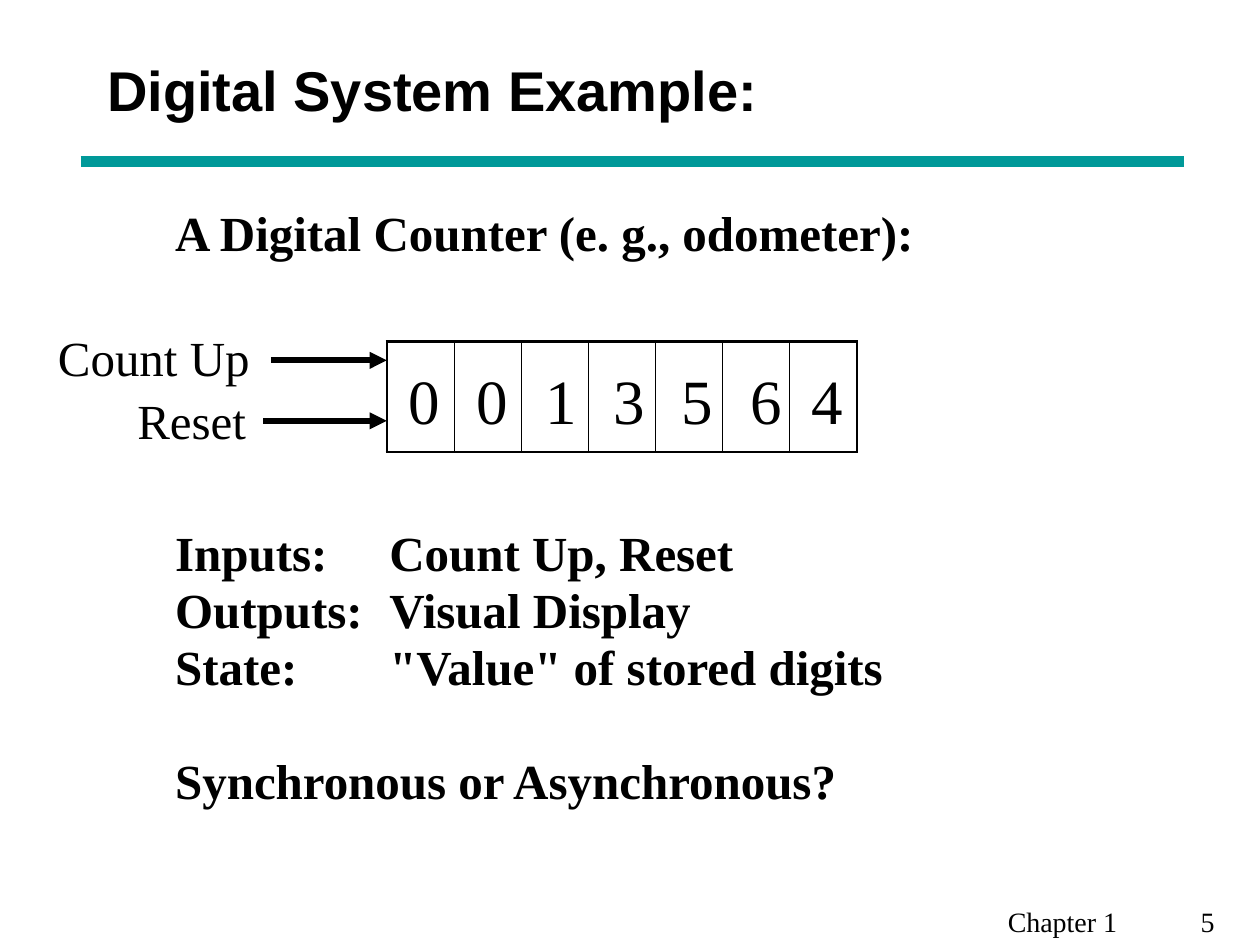
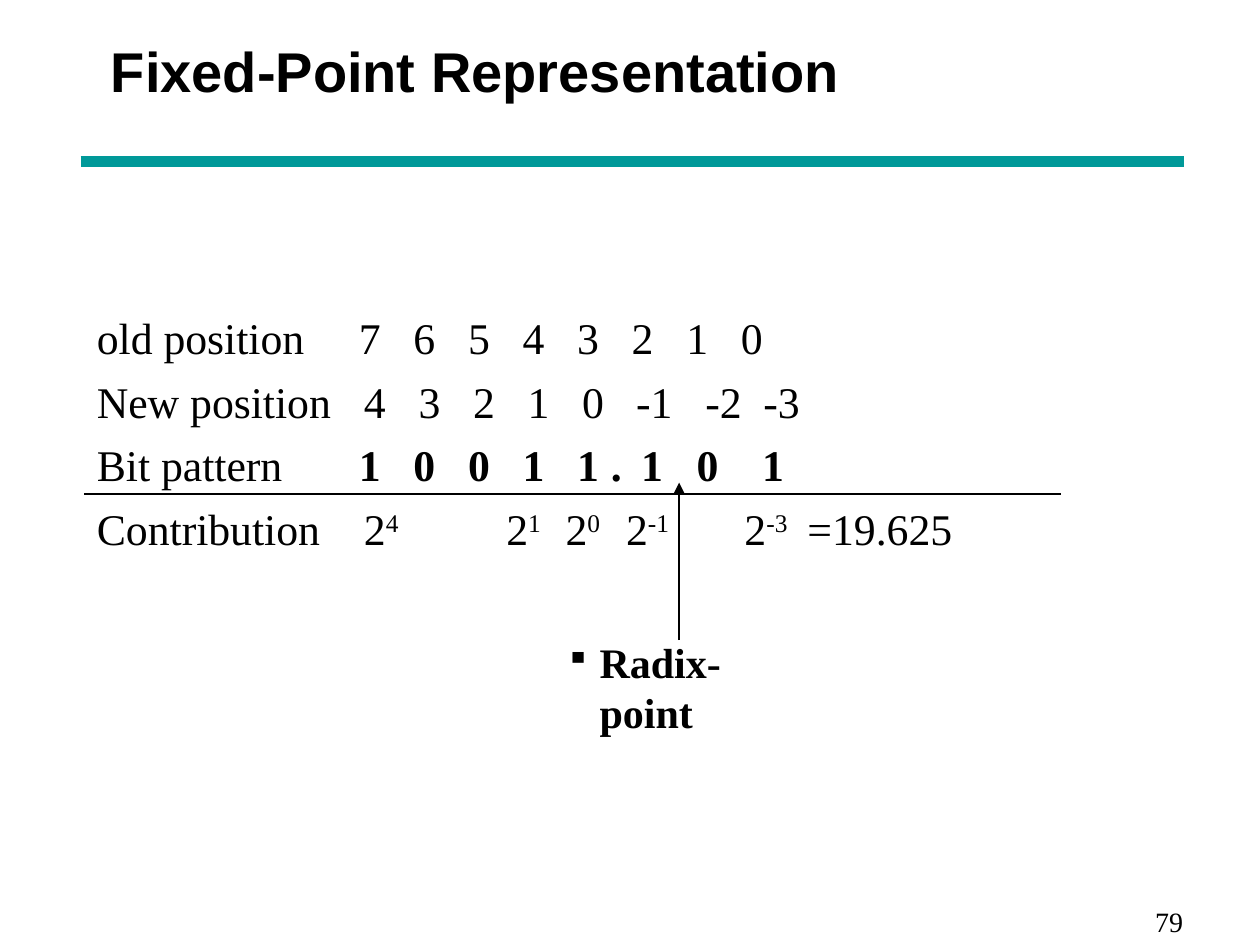
from dataclasses import dataclass

from lxml import etree
from pptx import Presentation
from pptx import util as u
from pptx.dml.color import RGBColor
from pptx.enum import shapes, text
from pptx.oxml.ns import qn

BLACK, TEAL = "000000", "009999"
SERIF, SANS = "Times New Roman", "Arial"


@dataclass
class Label:
    left: float
    top: float
    width: float
    words: str
    bold: bool = True
    size: float = 28


@dataclass
class BitRow:
    """A label and its cells; stops are the cells' tab positions in inches."""
    label: str
    cells: list[str]
    stops: list[float]
    bold: bool = False


BIT_STEP = 0.433


def even_stops(start: float, count: int) -> list[float]:
    return [start + BIT_STEP * i for i in range(count)]


COUNTER_LABELS = [
    Label(1.39, 1.61, 6.1, "A Digital Counter (e. g., odometer):"),
    Label(0.46, 2.6, 1.65, "Count Up", bold=False),
    Label(1.09, 3.1, 0.97, "Reset", bold=False),
    Label(1.39, 5.96, 5.5, "Synchronous or Asynchronous?"),
]
COUNTER_FACTS = [
    ("Inputs:", "Count Up, Reset"),
    ("Outputs:", "Visual Display"),
    ("State:", '"Value" of stored digits'),
]
DIGITS = "0013564"
DIGIT_LEFTS = [3.24 + 0.543 * i for i in range(6)] + [6.44]

BIT_ROWS = [
    BitRow("old position", list("76543210"), even_stops(2.08, 8)),
    BitRow("New position", ["4", "3", "2", "1", "0", "-1", "-2", "-3"],
           even_stops(2.12, 5) + [4.28, 4.83, 5.29]),
    BitRow("Bit pattern", list("10011.101"),
           even_stops(2.08, 5) + [4.08, 4.32, 4.76, 5.28], bold=True),
    BitRow("Contribution", ["2^4", "2^1", "2^0", "2^-1", "2^-3", "=19.625"],
           [2.12, 3.25, 3.72, 4.2, 5.14, 5.64]),
]


def color(value: str) -> RGBColor:
    return RGBColor.from_string(value)


def style(paragraph, size: float, face: str = SERIF, bold: bool | None = None) -> None:
    font = paragraph.font
    font.name, font.size, font.bold = face, u.Pt(size), bold
    font.color.rgb = color(BLACK)


def add_tabs(paragraph, stops: list[float]) -> None:
    tabs = etree.SubElement(paragraph._p.get_or_add_pPr(), qn("a:tabLst"))
    for stop in stops:
        etree.SubElement(tabs, qn("a:tab"), pos=str(u.Inches(stop)), algn="l")


def add_box(page, left: float, top: float, width: float, height: float,
            inset: bool = True):
    box = page.shapes.add_textbox(*map(u.Inches, (left, top, width, height)))
    frame = box.text_frame
    frame.word_wrap = True
    if not inset:
        frame.margin_left = frame.margin_right = 0
        frame.margin_top = frame.margin_bottom = 0
    return frame


def add_label(page, label: Label) -> None:
    height = label.size / 60
    frame = add_box(page, label.left, label.top, label.width, height, inset=False)
    para = frame.paragraphs[0]
    para.text = label.words
    style(para, label.size, bold=label.bold)


def add_line(page, start: tuple[float, float], end: tuple[float, float],
             weight: float, paint: str = BLACK, arrow: bool = False) -> None:
    line = page.shapes.add_connector(
        shapes.MSO_CONNECTOR.STRAIGHT, *map(u.Inches, (*start, *end)))
    line.line.width = u.Pt(weight)
    line.line.color.rgb = color(paint)
    if arrow:
        etree.SubElement(line.line._get_or_add_ln(), qn("a:tailEnd"), type="triangle")
    etree.SubElement(line._element.spPr, qn("a:effectLst"))


def add_page(deck, title: str, place: tuple[float, float, float, float],
             footer: str, number_stop: float):
    """Add a slide with its title, teal rule and footer."""
    page = deck.slides.add_slide(deck.slide_layouts[5])
    heading = page.shapes.title
    heading.left, heading.top, heading.width, heading.height = map(u.Inches, place)
    heading.text_frame.auto_size = text.MSO_AUTO_SIZE.NONE
    heading.text_frame.vertical_anchor = text.MSO_ANCHOR.MIDDLE
    para = heading.text_frame.paragraphs[0]
    para.text = title
    para.alignment = text.PP_ALIGN.LEFT
    style(para, 32, SANS, bold=True)
    add_line(page, (0.64, 1.28), (9.4, 1.28), 6, TEAL)
    para = add_box(page, 7.9, 7.13, 2.1, 0.37).paragraphs[0]
    para.text = footer
    add_tabs(para, [number_stop])
    style(para, 16)
    return page


def add_border(cell, side: str, weight: float) -> None:
    line = etree.SubElement(cell._tc.get_or_add_tcPr(), qn(f"a:{side}"), w=str(u.Pt(weight)))
    fill = etree.SubElement(line, qn("a:solidFill"))
    etree.SubElement(fill, qn("a:srgbClr"), val=BLACK)


def add_counter(page) -> None:
    count = len(DIGITS)
    table = page.shapes.add_table(
        1, count, *map(u.Inches, (3.07, 2.71, 3.73, 0.88))).table
    table.first_row = table.horz_banding = False
    outer, inner = 1.5, 0.25
    for i in range(count):
        cell = table.cell(0, i)
        add_border(cell, "lnL", outer if i == 0 else inner)
        add_border(cell, "lnR", outer if i == count - 1 else inner)
        add_border(cell, "lnT", outer)
        add_border(cell, "lnB", outer)
        cell.fill.background()
    for left, digit in zip(DIGIT_LEFTS, DIGITS):
        add_label(page, Label(left, 2.87, 0.3, digit, bold=False, size=36))


def build_counter_page(deck) -> None:
    page = add_page(deck, "Digital System Example:", (0.75, 0.25, 8.5, 0.92),
                    "Chapter 1\t5", 1.53)
    add_counter(page)
    add_line(page, (2.15, 2.86), (3.07, 2.86), 3.25, arrow=True)
    add_line(page, (2.09, 3.34), (3.07, 3.34), 3.25, arrow=True)
    for label in COUNTER_LABELS:
        add_label(page, label)
    for i, (name, meaning) in enumerate(COUNTER_FACTS):
        top = 4.15 + 0.45 * i
        add_label(page, Label(1.39, top, 1.6, name))
        add_label(page, Label(3.09, top, 4.5, meaning))


def add_bit_row(para, row: BitRow) -> None:
    add_tabs(para, row.stops)
    style(para, 25)
    para.add_run().text = row.label
    for cell in row.cells:
        base, _, power = cell.partition("^")
        span = para.add_run()
        span.text = "\t" + base
        span.font.bold = row.bold
        if power:
            span = para.add_run()
            span.text = power
            span._r.get_or_add_rPr().set("baseline", "30000")


def build_fixed_point_page(deck) -> None:
    page = add_page(deck, "Fixed-Point Representation", (0.78, 0, 8.5, 1.12),
                    "\t79", 1.17)
    frame = add_box(page, 0.67, 2.42, 9.08, 2.1)
    for i, row in enumerate(BIT_ROWS):
        para = frame.add_paragraph() if i else frame.paragraphs[0]
        add_bit_row(para, row)
        if i:
            para.space_before = u.Pt(6.3)
    add_line(page, (0.67, 3.92), (8.42, 3.92), 0.75)

    para = add_box(page, 4.39, 5, 1.54, 0.9).paragraphs[0]
    para.text = "Radix-point"
    properties = para._p.get_or_add_pPr()
    properties.set("marL", str(u.Inches(0.27)))
    properties.set("indent", str(-u.Inches(0.27)))
    etree.SubElement(properties, qn("a:buSzPct"), val="80000")
    etree.SubElement(properties, qn("a:buChar"), char="▪")
    style(para, 24, bold=True)
    add_line(page, (5.39, 5.08), (5.39, 3.83), 0.75, arrow=True)


def main() -> None:
    deck = Presentation()
    deck.slide_width, deck.slide_height = u.Inches(10), u.Inches(7.5)
    build_counter_page(deck)
    build_fixed_point_page(deck)
    deck.save("out.pptx")


if __name__ == "__main__":
    main()
